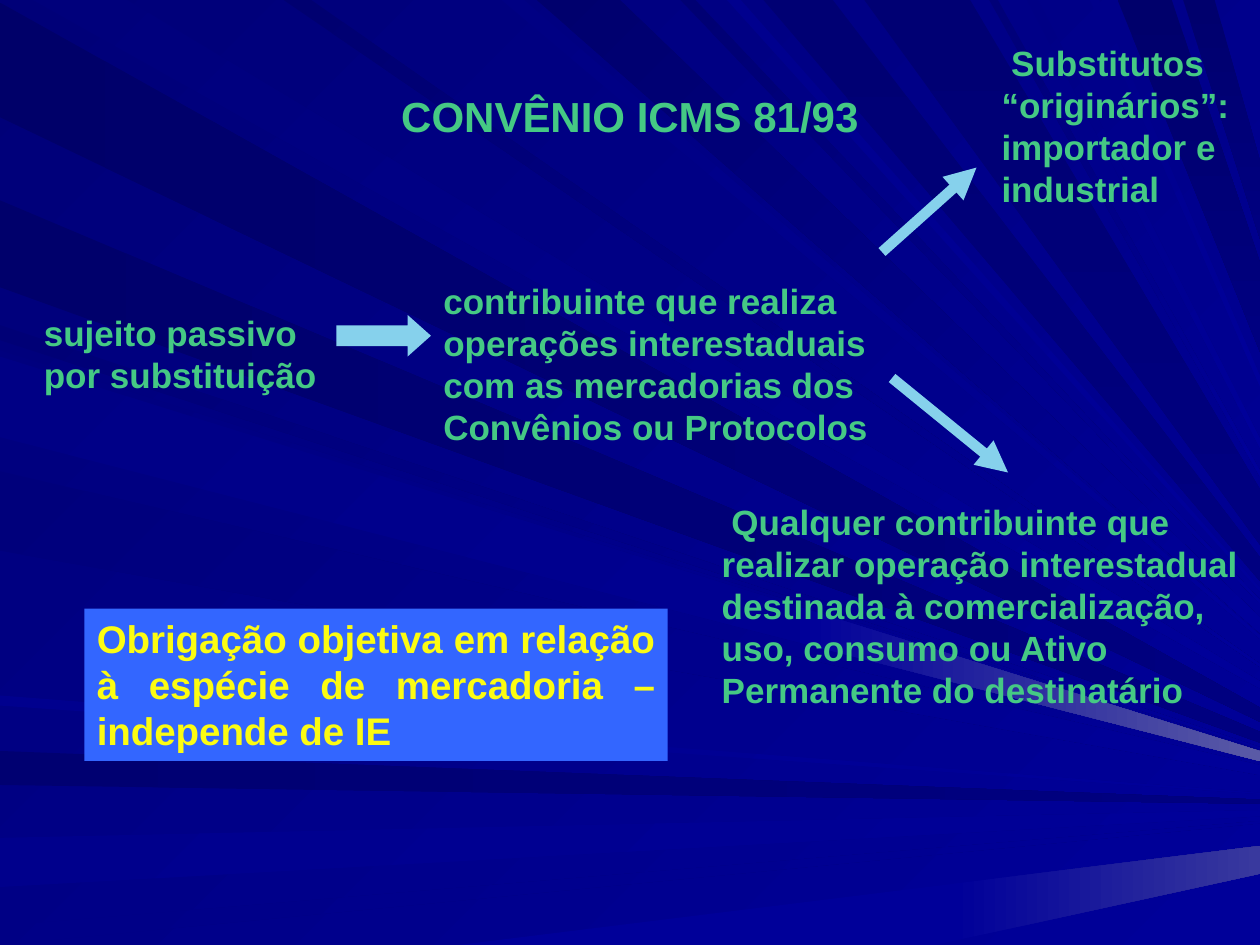
from pptx import Presentation
from pptx.dml.color import RGBColor
from pptx.enum.shapes import MSO_CONNECTOR, MSO_SHAPE
from pptx.enum.text import MSO_ANCHOR, PP_ALIGN
from pptx.oxml.ns import qn
from pptx.util import Inches, Pt
from lxml import etree

STRAIGHT = MSO_CONNECTOR.STRAIGHT
RIGHT_ARROW, RECTANGLE = MSO_SHAPE.RIGHT_ARROW, MSO_SHAPE.RECTANGLE
TOP, MIDDLE = MSO_ANCHOR.TOP, MSO_ANCHOR.MIDDLE
LEFT, CENTER, JUSTIFY = PP_ALIGN.LEFT, PP_ALIGN.CENTER, PP_ALIGN.JUSTIFY
WIDTH, HEIGHT = 10, 7.5

COLORS = {
    "back": "000078", "dark": "000080", "bright": "000099",
    "glow": "5A5AA6", "soft_glow": "39399E",
    "text": "45C984", "arrow": "86D1EC",
    "callout": "3366FF", "callout_text": "FCFC12",
}

# Rays leave an edge of the slide and narrow towards that edge's focus
FOCUS = {"left": (11.4, 6.4), "top": (11.4, 6.25), "bottom": (12.3, 6.43)}
# Edge, both ends on that edge, start colour, end colour; back to front
RAYS = [
    ("left", 0.02, 0.93, "000069", "dark"),
    ("top", 0.26, 1.01, "00007B", "bright"),
    ("left", 5.96, 6.23, "000071", "dark"),
    ("left", 6.65, 7.04, "00008C", "bright"),
    ("left", 7.35, 7.5, "000085", "bright"),
    ("bottom", 3.64, 7.42, "000099", "bright"),
    ("left", 2.58, 2.7, "000076", "bright"),
    ("left", 1.59, 2.28, "00006B", "dark"),
    ("top", 3.98, 4.16, "000083", "bright"),
    ("top", 4.26, 4.92, "00006D", "bright"),
    ("top", 5.4, 5.52, "000073", "bright"),
    ("top", 6.06, 6.61, "000073", "dark"),
    ("top", 8.87, 9.3, "00006B", "dark"),
    ("top", 9.39, 9.64, "00006D", "dark"),
    ("left", 2.78, 3.42, "00007E", "bright"),
    ("left", 3.74, 4.37, "00007B", "bright"),
    ("left", 5.52, 5.6, "00008E", "bright"),
    ("top", 2.25, 2.47, "000070", "bright"),
    ("top", 5.77, 5.88, "00008E", "bright"),
    ("top", 6.86, 7.7, "000073", "dark"),
    ("top", 7.85, 7.92, "000078", "bright"),
    ("top", 8.15, 8.24, "000085", "bright"),
    ("top", 8.65, 8.72, "00008A", "bright"),
    ("left", 2.83, 3.47, "000085", "bright"),
]
# Where the far part of a ray lights up, by its place on the edge
GLOWS = {("left", 2.83): (6.35, "glow"), ("bottom", 3.64): (7.56, "soft_glow")}

# Left, top, width, height, size, alignment, anchor, text
TEXTS = [
    (0.75, 0.67, 8.5, 0.5, 24, CENTER, MIDDLE, "CONVÊNIO ICMS 81/93"),
    (0.25, 2.42, 2.5, 0.77, 20, LEFT, TOP, "sujeito passivo por substituição"),
    (3.42, 2.17, 4, 1.43, 20, LEFT, TOP,
     "contribuinte que realiza operações interestaduais com as mercadorias dos Convênios ou Protocolos"),
    (7.85, 0.28, 2.15, 1.43, 20, LEFT, TOP,
     " Substitutos “originários”: importador e industrial"),
    (5.63, 3.92, 4.37, 1.77, 20, LEFT, TOP,
     " Qualquer contribuinte que realizar operação interestadual destinada à comercialização, "
     "uso, consumo ou Ativo Permanente do destinatário"),
]
BRANCHES = [(7, 2, 7.75, 1.33), (7.08, 3, 8, 3.75)]


def paint(fill, start, end, angle=0):
    """Fill with a linear gradient, or plainly when both colours agree."""
    if start == end:
        fill.solid()
        fill.fore_color.rgb = RGBColor.from_string(start)
        return
    fill.gradient()
    fill.gradient_angle = (360 - angle) % 360
    for stop, color in zip(fill.gradient_stops, (start, end)):
        stop.color.rgb = RGBColor.from_string(color)


def write(box, text, size, color, align, anchor):
    frame = box.text_frame
    frame.word_wrap = True
    frame.vertical_anchor = anchor
    frame.text = text
    para = frame.paragraphs[0]
    para.alignment = align
    font = para.runs[0].font
    font.name, font.size, font.bold = "Arial", Pt(size), True
    font.color.rgb = RGBColor.from_string(color)


deck = Presentation()
deck.slide_width, deck.slide_height = Inches(WIDTH), Inches(HEIGHT)
page = deck.slides.add_slide(deck.slide_layouts[6])
shapes = page.shapes
paint(page.background.fill, COLORS["back"], COLORS["bright"], 45)

for edge, first, second, start, end in RAYS:
    focus_x, focus_y = FOCUS[edge]
    near = [{"left": (0, place), "top": (place, 0), "bottom": (place, HEIGHT)}[edge]
            for place in (first, second)]
    slopes = [(focus_y - y) / (focus_x - x) for x, y in near]
    far = [(WIDTH, focus_y - slope * (focus_x - WIDTH)) for slope in slopes]
    if end == "bright":
        angle = 45
    else:
        angle = 90 if edge == "top" else 0
    parts = [(near, start, COLORS[end], angle)]
    if (edge, first) in GLOWS:
        glow_x, glow = GLOWS[edge, first]
        cut = [(glow_x, focus_y - slope * (focus_x - glow_x)) for slope in slopes]
        parts.append((cut, COLORS["bright"], COLORS[glow], 0))
    for base, start_color, end_color, turn in parts:
        points = [(Inches(x), Inches(y)) for x, y in base + far[::-1]]
        builder = shapes.build_freeform(*points[0])
        builder.add_line_segments(points[1:], close=True)
        ray = builder.convert_to_shape()
        ray.shadow.inherit = False
        ray.line.fill.background()
        paint(ray.fill, start_color, end_color, turn)

for left, top, width, height, size, align, anchor, text in TEXTS:
    box = shapes.add_textbox(Inches(left), Inches(top), Inches(width), Inches(height))
    write(box, text, size, COLORS["text"], align, anchor)

block_arrow = shapes.add_shape(RIGHT_ARROW, Inches(2.67), Inches(2.5), Inches(0.75), Inches(0.33))
block_arrow.adjustments[1] = 0.56
callout = shapes.add_shape(RECTANGLE, Inches(0.67), Inches(4.83), Inches(4.63), Inches(1.21))
for shape, color in ((block_arrow, COLORS["arrow"]), (callout, COLORS["callout"])):
    shape.shadow.inherit = False
    shape.line.fill.background()
    paint(shape.fill, color, color)
write(callout, "Obrigação objetiva em relação à espécie de mercadoria – independe de IE",
      22, COLORS["callout_text"], JUSTIFY, TOP)

for ends in BRANCHES:
    branch = shapes.add_connector(STRAIGHT, *[Inches(value) for value in ends])
    branch.line.width = Pt(6)
    branch.line.color.rgb = RGBColor.from_string(COLORS["arrow"])
    properties = branch.element.spPr
    etree.SubElement(properties.find(qn("a:ln")), qn("a:tailEnd"), type="triangle")
    etree.SubElement(properties, qn("a:effectLst"))

deck.save("out.pptx")
